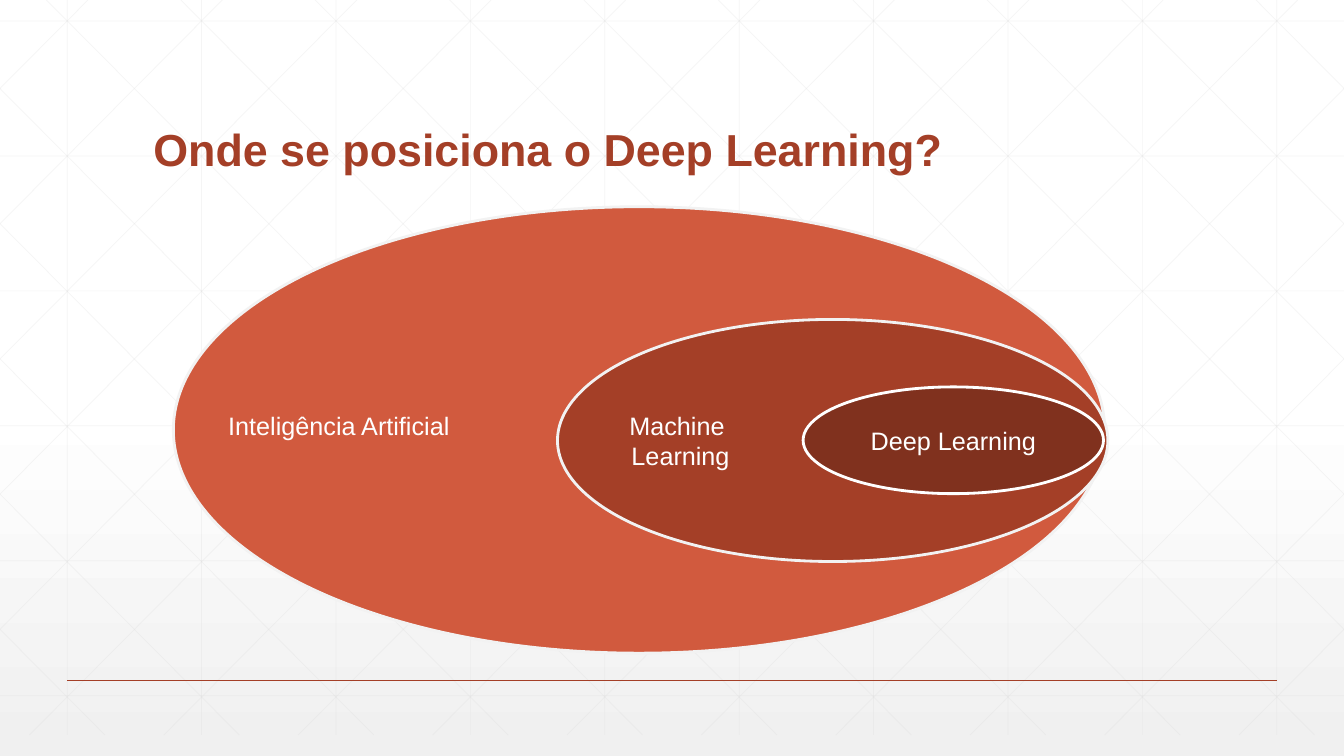
from lxml import etree
from pptx import Presentation
from pptx.dml.color import RGBColor
from pptx.enum.shapes import MSO_CONNECTOR, MSO_SHAPE
from pptx.enum.text import MSO_ANCHOR, PP_ALIGN
from pptx.oxml.ns import qn
from pptx.util import Cm, Pt

STRAIGHT = MSO_CONNECTOR.STRAIGHT
OVAL = MSO_SHAPE.OVAL
MIDDLE, BOTTOM = MSO_ANCHOR.MIDDLE, MSO_ANCHOR.BOTTOM
LEFT, CENTER = PP_ALIGN.LEFT, PP_ALIGN.CENTER

WHITE = RGBColor(0xFF, 0xFF, 0xFF)
PALE = RGBColor(0xF2, 0xF2, 0xF2)
MIST = RGBColor(0xF0, 0xF0, 0xF0)
GRID = RGBColor(0xD9, 0xD9, 0xD9)
CORAL = RGBColor(0xD1, 0x5A, 0x3E)
RUST = RGBColor(0xA4, 0x3F, 0x27)
BROWN = RGBColor(0x6D, 0x2A, 0x1A)

WIDTH, HEIGHT = 33.87, 19.05
GRID_BOTTOM = 18.52
STEP = WIDTH / 10
SLOPE = 1.006

deck = Presentation()
deck.slide_width, deck.slide_height = Cm(WIDTH), Cm(HEIGHT)
page = deck.slides.add_slide(deck.slide_layouts[5])


def add_line(x1, y1, x2, y2, color, points, opacity=100):
    line = page.shapes.add_connector(STRAIGHT, Cm(x1), Cm(y1), Cm(x2), Cm(y2))
    line.line.color.rgb = color
    line.line.width = Pt(points)
    set_opacity(line, opacity)
    etree.SubElement(line.element.spPr, qn("a:effectLst"))
    return line


def set_opacity(shape, percent):
    color = shape.element.find(".//" + qn("a:srgbClr"))
    etree.SubElement(color, qn("a:alpha"), val=str(percent * 1000))


# Background fading to light grey at the bottom
background = page.background.fill
background.gradient()
background.gradient_angle = 270
for stop, position, color in zip(background.gradient_stops, (0.53, 1), (WHITE, MIST)):
    stop.position = position
    stop.color.rgb = color

# Square grid
for column in range(10):
    x = STEP * (column + 0.5)
    add_line(x, 0, x, GRID_BOTTOM, GRID, 0.5, 25)
for row in range(6):
    y = 0.53 + 3.4 * row
    add_line(0, y, WIDTH, y, GRID, 0.5, 25)

# Diagonals, cut at the slide edges, each with its mirror line
for index in range(-5, 10):
    start = 1.17 + STEP * index
    x1 = max(start, 0)
    x2 = min(start + GRID_BOTTOM / SLOPE, WIDTH)
    y1, y2 = (x1 - start) * SLOPE, (x2 - start) * SLOPE
    add_line(x1, y1, x2, y2, GRID, 0.5, 25)
    add_line(WIDTH - x1, y1, WIDTH - x2, y2, GRID, 0.5, 25)

# Footer rule
footer_rule = add_line(1.7, 17.15, 32.17, 17.15, RUST, 1)

# Title, placed above the grid
title = page.shapes.title
title.left, title.top, title.width, title.height = Cm(3.61), Cm(1.4), Cm(26.67), Cm(3.18)
footer_rule.element.addnext(title.element)
title.text_frame.text = "Onde se posiciona o Deep Learning?"
title.text_frame.vertical_anchor = BOTTOM
para = title.text_frame.paragraphs[0]
para.alignment = LEFT
para.line_spacing = 0.9
para.font.name, para.font.size, para.font.bold = "Arial", Pt(32), True
para.font.color.rgb = RUST

# Nested ellipses: left, top, width, height, fill, outline
ELLIPSES = [
    (4.37, 5.21, 23.47, 11.25, CORAL, PALE),
    (14.05, 8.05, 13.87, 6.1, RUST, PALE),
    (20.24, 9.75, 7.57, 2.69, BROWN, WHITE),
]
for left, top, width, height, fill, outline in ELLIPSES:
    ellipse = page.shapes.add_shape(OVAL, Cm(left), Cm(top), Cm(width), Cm(height))
    ellipse.shadow.inherit = False
    ellipse.fill.solid()
    ellipse.fill.fore_color.rgb = fill
    ellipse.line.color.rgb = outline
    ellipse.line.width = Pt(2)

# The innermost ellipse is translucent and holds its own label
set_opacity(ellipse, 65)
ellipse.text_frame.text = "Deep Learning"
ellipse.text_frame.vertical_anchor = MIDDLE
labels = [ellipse]

# Labels of the two outer ellipses
for text, left, height in [("Machine \nLearning", 14.05, 1.8), ("Inteligência Artificial", 5.44, 1.02)]:
    box = page.shapes.add_textbox(Cm(left), Cm(10.21), Cm(6.2), Cm(height))
    box.text_frame.word_wrap = True
    box.text_frame.text = text
    labels.append(box)

for label in labels:
    for para in label.text_frame.paragraphs:
        para.alignment = CENTER
        para.font.name, para.font.size = "Arial", Pt(18)
        para.font.color.rgb = WHITE

deck.save("out.pptx")
